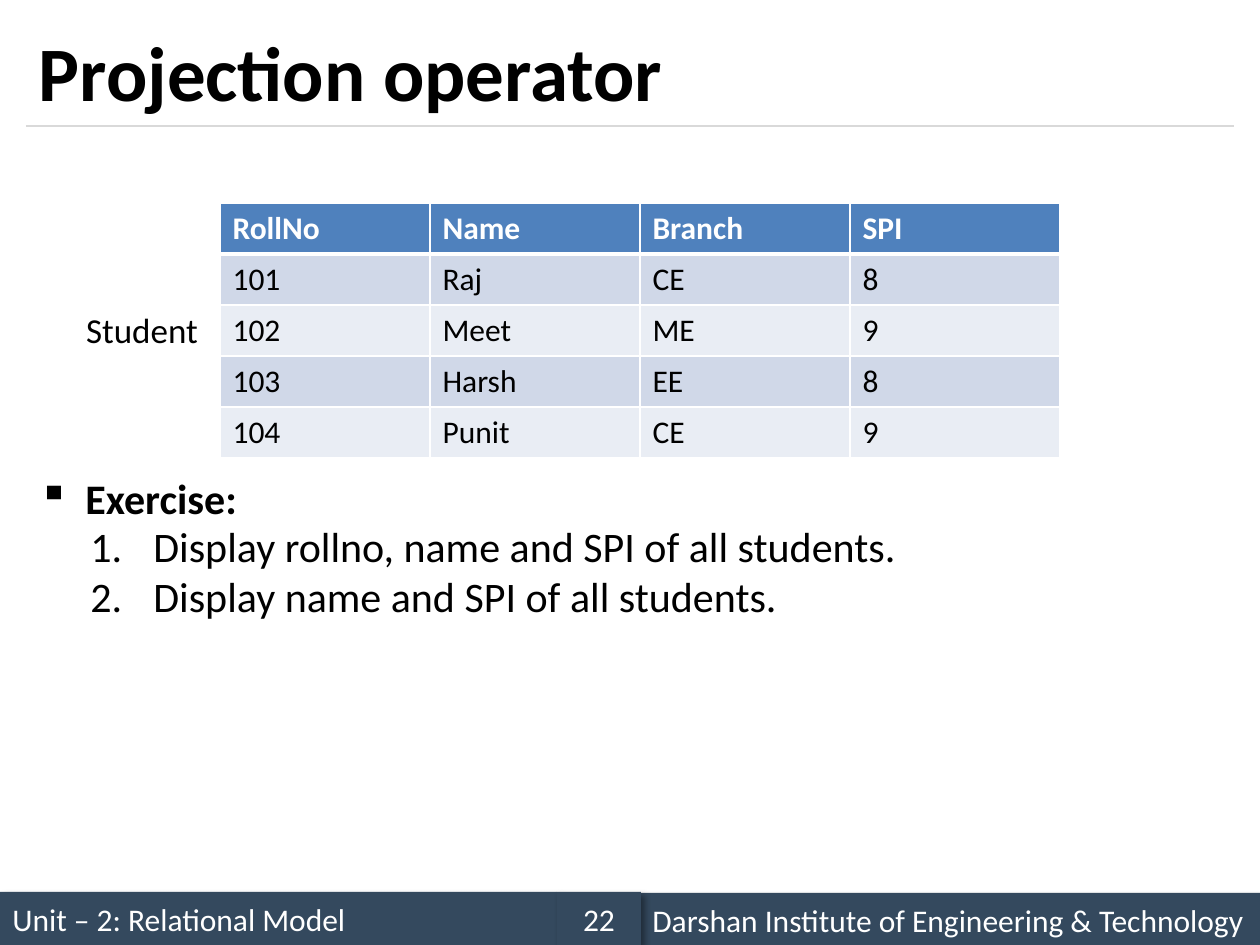
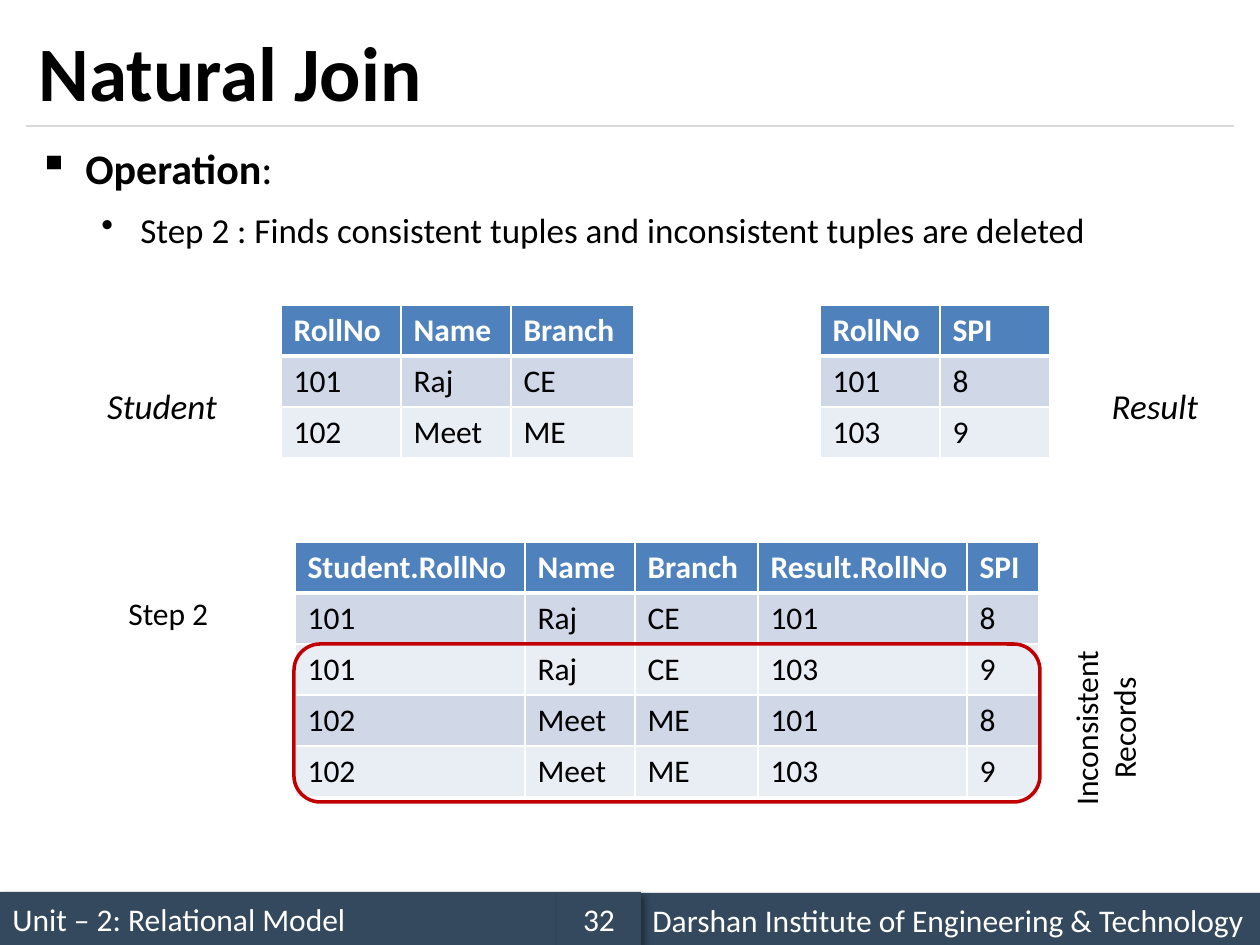
from lxml import etree
from pptx import Presentation
from pptx.dml.color import RGBColor
from pptx.enum.shapes import MSO_CONNECTOR, MSO_SHAPE
from pptx.enum.text import MSO_ANCHOR, MSO_AUTO_SIZE, PP_ALIGN
from pptx.oxml import parse_xml
from pptx.oxml.ns import nsdecls, qn
from pptx.util import Emu, Pt

LEFT, CENTER = PP_ALIGN.LEFT, PP_ALIGN.CENTER
TOP, MIDDLE = MSO_ANCHOR.TOP, MSO_ANCHOR.MIDDLE
NO_AUTOFIT = MSO_AUTO_SIZE.NONE
RECT, ROUNDED = MSO_SHAPE.RECTANGLE, MSO_SHAPE.ROUNDED_RECTANGLE
STRAIGHT = MSO_CONNECTOR.STRAIGHT

EMU_PER_PX = 914400 / 126
WIDTH, HEIGHT = 1260, 945
FONT = "Calibri"
COLORS = {
    "text": "000000", "white": "FFFFFF", "footer": "34495E", "rule": "D9D9D9",
    "header": "4F81BD", "odd": "D0D8E8", "even": "E9EDF4", "alert": "C00000",
}
ROW_HEIGHT = 51
TITLE_BOX = (26, 15, 1207, 111)
RULE = (26, 126, 1234, 126)
UNIT = "Unit – 2: Relational Model"
INSTITUTE = "Darshan Institute of Engineering & Technology"

# Paragraph kinds: left margin px, hanging px, bullet tag and attributes, size, space before
KINDS = {
    "plain": (0, 0, None, {}, 20, 0),
    "topic": (47, 47, "a:buChar", {"char": "▪"}, 24, 9),
    "detail": (102, 39, "a:buChar", {"char": "•"}, 20, 9),
    "number": (63, 63, "a:buAutoNum", {"type": "arabicPeriod"}, 24, 0),
}

# Paragraph: (kind, [(text, font values), ...])
SLIDES = [
    {
        "title": "Projection operator",
        "number": "22",
        "bodies": [
            ((26, 466, 1207, 64), [("topic", [("Exercise:", {"bold": True})])]),
            ((78, 514, 1102, 115), [
                ("number", [("Display rollno, name and SPI of all students.", {})]),
                ("number", [("Display name and SPI of all students.", {})]),
            ]),
        ],
        "tables": [
            ((220, 203), (210, 210, 210, 210), [
                ("RollNo", "Name", "Branch", "SPI"),
                ("101", "Raj", "CE", "8"),
                ("102", "Meet", "ME", "9"),
                ("103", "Harsh", "EE", "8"),
                ("104", "Punit", "CE", "9"),
            ]),
        ],
        "labels": [("Student", (63, 302, 158, 55), CENTER, {}, 0)],
    },
    {
        "title": "Natural Join",
        "number": "32",
        "bodies": [
            ((26, 136, 1207, 735), [
                ("topic", [("Operation", {"bold": True}), (":", {})]),
                ("detail", [("Step 2 : Finds consistent tuples and inconsistent "
                             "tuples are deleted", {})]),
            ]),
        ],
        "tables": [
            ((281, 305), (120, 110, 123), [
                ("RollNo", "Name", "Branch"),
                ("101", "Raj", "CE"),
                ("102", "Meet", "ME"),
            ]),
            ((820, 305), (120, 110), [
                ("RollNo", "SPI"),
                ("101", "8"),
                ("103", "9"),
            ]),
            ((295, 542), (230, 110, 123, 209, 72), [
                ("Student.RollNo", "Name", "Branch", "Result.RollNo", "SPI"),
                ("101", "Raj", "CE", "101", "8"),
                ("101", "Raj", "CE", "103", "9"),
                ("102", "Meet", "ME", "101", "8"),
                ("102", "Meet", "ME", "103", "9"),
            ]),
        ],
        "labels": [
            ("Student", (83, 378, 158, 55), CENTER, {"italic": True}, 0),
            ("Result", (1076, 378, 158, 55), CENTER, {"italic": True}, 0),
            ("Step 2", (116, 588, 116, 50), LEFT, {"size": Pt(18)}, 0),
            ("Inconsistent Records", (1011, 683, 189, 90), CENTER,
             {"size": Pt(18)}, 270),
        ],
        "inconsistent_frame": (294, 644, 746, 158),
    },
]


def px(*values):
    return [Emu(round(v * EMU_PER_PX)) for v in values]


def rgb(name):
    return RGBColor.from_string(COLORS[name])


def add_run(p, text, color="text", **values):
    r = p.add_run()
    r.text = text
    r.font.color.rgb = rgb(color)
    for name, value in {"name": FONT, "bold": False, **values}.items():
        setattr(r.font, name, value)


def format_paragraph(p, kind, first):
    """Set margins, bullet and spacing; return the text size of the kind."""
    margin, hanging, tag, attributes, size, before = KINDS[kind]
    if tag:
        pPr = p._p.get_or_add_pPr()
        pPr.set("marL", str(px(margin)[0]))
        pPr.set("indent", str(-px(hanging)[0]))
        etree.SubElement(pPr, qn(tag), attributes)
    p.space_before = Pt(0 if first else before)
    return Pt(size)


def add_text(s, box, paragraphs, align=LEFT, rotation=0):
    sp = s.shapes.add_textbox(*px(*box))
    sp.rotation = rotation
    tf = sp.text_frame
    tf.word_wrap = True
    for i, (kind, runs) in enumerate(paragraphs):
        p = tf.add_paragraph() if i else tf.paragraphs[0]
        size = format_paragraph(p, kind, i == 0)
        p.alignment = align
        for text, values in runs:
            add_run(p, text, **{"size": size, **values})


def add_footer_box(s, text, box, align):
    sp = s.shapes.add_shape(RECT, *px(*box))
    sp.fill.solid()
    sp.fill.fore_color.rgb = rgb("footer")
    sp.line.fill.background()
    sp._element.spPr.append(parse_xml(
        f'<a:effectLst {nsdecls("a")}><a:outerShdw blurRad="50800" dist="38100" '
        'dir="2700000" algn="tl" rotWithShape="0"><a:srgbClr val="000000">'
        '<a:alpha val="40000"/></a:srgbClr></a:outerShdw></a:effectLst>'))
    tf = sp.text_frame
    tf.word_wrap = True
    tf.vertical_anchor = MIDDLE
    p = tf.paragraphs[0]
    p.alignment = align
    add_run(p, text, "white", size=Pt(18))


def add_frame(s, title, number):
    """Add the footer, the rule and the title that every slide has."""
    add_footer_box(s, UNIT, (0, 892, 557, 53), LEFT)
    add_footer_box(s, INSTITUTE, (640, 893, 620, 53), LEFT)
    add_footer_box(s, number, (557, 892, 84, 53), CENTER)
    rule = s.shapes.add_connector(STRAIGHT, *px(*RULE))
    rule.line.color.rgb = rgb("rule")
    rule.line.width = Pt(0.75)
    etree.SubElement(rule._element.spPr, qn("a:effectLst"))
    sp = s.shapes.title
    sp.left, sp.top, sp.width, sp.height = px(*TITLE_BOX)
    tf = sp.text_frame
    tf.auto_size = NO_AUTOFIT
    tf.vertical_anchor = MIDDLE
    p = tf.paragraphs[0]
    p.alignment = LEFT
    add_run(p, title, size=Pt(44), bold=True)


def set_borders(cell, row):
    """Draw white cell borders, thick between the header and the first row."""
    widths = {"lnL": 1, "lnR": 1, "lnT": 3 if row == 1 else 1, "lnB": 1 if row else 3}
    for i, (tag, width) in enumerate(widths.items()):
        cell._tc.get_or_add_tcPr().insert(i, parse_xml(
            f'<a:{tag} {nsdecls("a")} w="{Pt(width)}"><a:solidFill>'
            f'<a:srgbClr val="{COLORS["white"]}"/></a:solidFill></a:{tag}>'))


def add_data_table(s, corner, columns, rows):
    size = (sum(columns), ROW_HEIGHT * len(rows))
    table = s.shapes.add_table(len(rows), len(columns), *px(*corner, *size)).table
    for column, width in zip(table.columns, px(*columns)):
        column.width = width
    for r, values in enumerate(rows):
        fill = "header" if r == 0 else "odd" if r % 2 else "even"
        for c, text in enumerate(values):
            cell = table.cell(r, c)
            cell.fill.solid()
            cell.fill.fore_color.rgb = rgb(fill)
            cell.vertical_anchor = TOP
            set_borders(cell, r)
            add_run(cell.text_frame.paragraphs[0], text, "text" if r else "white",
                    size=Pt(18), bold=r == 0)


def add_inconsistent_frame(s, box):
    sp = s.shapes.add_shape(ROUNDED, *px(*box))
    sp.shadow.inherit = False
    sp.fill.background()
    sp.line.color.rgb = rgb("alert")
    sp.line.width = Pt(2)


def main():
    prs = Presentation()
    prs.slide_width, prs.slide_height = px(WIDTH, HEIGHT)
    title_only = prs.slide_layouts[5]
    for content in SLIDES:
        s = prs.slides.add_slide(title_only)
        add_frame(s, content["title"], content["number"])
        for box, paragraphs in content["bodies"]:
            add_text(s, box, paragraphs)
        for corner, columns, rows in content["tables"]:
            add_data_table(s, corner, columns, rows)
        for text, box, align, values, rotation in content["labels"]:
            add_text(s, box, [("plain", [(text, values)])], align, rotation)
        if "inconsistent_frame" in content:
            add_inconsistent_frame(s, content["inconsistent_frame"])
    prs.save("out.pptx")


if __name__ == "__main__":
    main()
